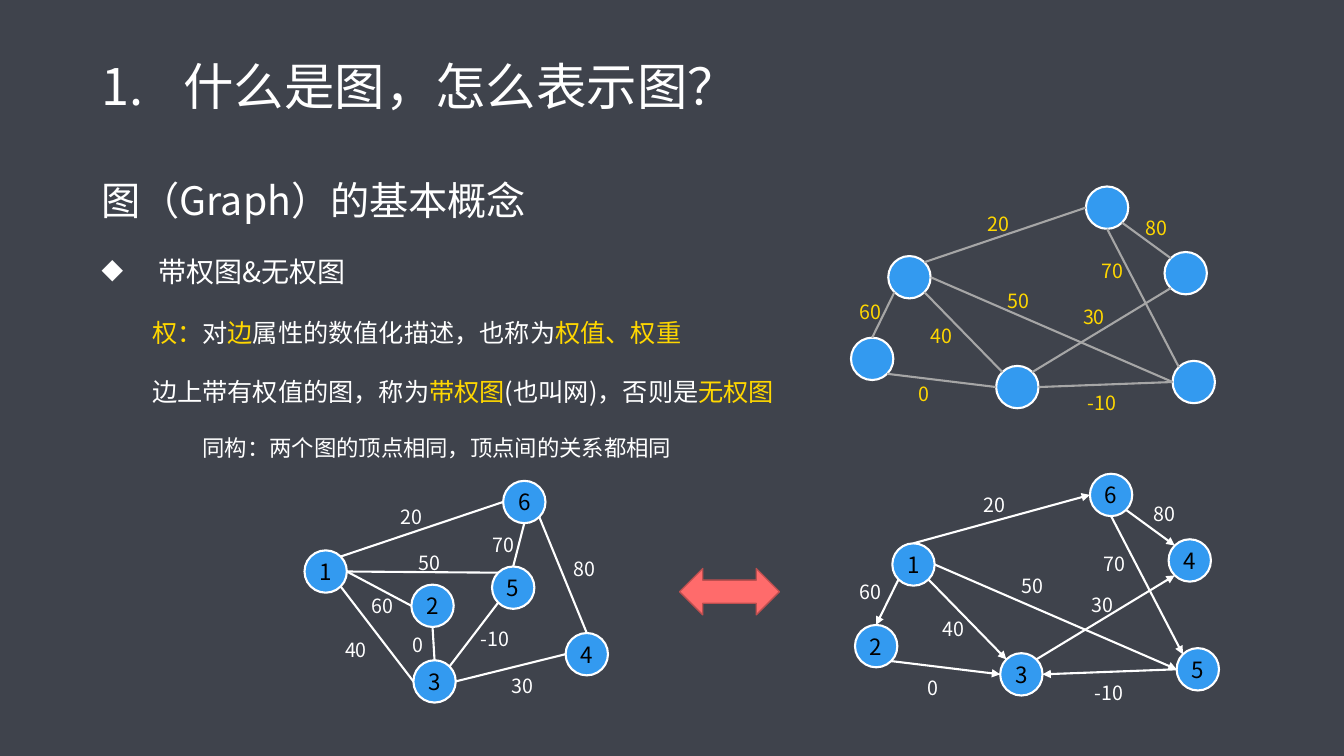
from dataclasses import dataclass
from math import cos, pi, sin

from lxml import etree
from pptx import Presentation
from pptx.dml.color import RGBColor
from pptx.enum.shapes import MSO_CONNECTOR, MSO_SHAPE
from pptx.enum.text import MSO_ANCHOR, PP_ALIGN
from pptx.oxml.ns import qn
from pptx.util import Inches, Pt

OVAL, DOUBLE_ARROW = MSO_SHAPE.OVAL, MSO_SHAPE.LEFT_RIGHT_ARROW
STRAIGHT = MSO_CONNECTOR.STRAIGHT
LEFT, CENTER = PP_ALIGN.LEFT, PP_ALIGN.CENTER
MIDDLE, TOP_ANCHOR = MSO_ANCHOR.MIDDLE, MSO_ANCHOR.TOP


@dataclass(frozen=True)
class Theme:
    font: str = "Noto Sans CJK SC"
    back: str = "3F434C"
    text: str = "FFFFFF"
    accent: str = "FFD700"
    vertex: str = "339AF0"
    vertex_text: str = "000000"
    grey_edge: str = "A6A6A6"
    arrow: str = "FF6B6B"
    arrow_line: str = "BD4F4F"
    title: int = 36
    heading: int = 28
    topic: int = 20
    body: int = 18
    small: int = 16
    weight: int = 14


T = Theme()
CELL = 0.1  # inches per grid column and row
VERTEX = 4.2  # vertex diameter in cells
LABEL_W, LABEL_H = 5.1, 3.4

# Connection sites of an ellipse, counter-clockwise from the top
N, NW, W, SW, S, SE, E, NE = range(8)

# Vertex centres in cells, from the corner of the graph's box
WIDE = {1: (6.2, 9), 2: (2.5, 17.1), 3: (16.9, 19.9),
        4: (33.6, 8.6), 5: (34.4, 19.4), 6: (25.8, 2.1)}
COMPACT = {1: (2.1, 9), 2: (12.7, 12.4), 3: (12.9, 19.9),
           4: (28, 17.2), 5: (20.7, 10.6), 6: (21.8, 2.1)}

# Edges by weight: vertex, site, vertex, site
WIDE_EDGES = {"20": (6, W, 1, NE), "40": (3, NW, 1, SE), "30": (4, SW, 3, NE),
              "70": (5, NW, 6, S), "60": (2, N, 1, SW), "80": (4, NW, 6, SE),
              "0": (3, W, 2, SE), "-10": (3, E, 5, W), "50": (5, W, 1, E)}
DIRECTED_EDGES = {**WIDE_EDGES, "20": (6, W, 1, N)}
COMPACT_EDGES = {"20": (6, W, 1, NE), "40": (3, W, 1, SE), "30": (4, W, 3, E),
                 "70": (5, N, 6, S), "60": (2, W, 1, E), "80": (4, N, 6, SE),
                 "0": (3, N, 2, S), "-10": (3, NE, 5, SW), "50": (5, NW, 1, E)}

# Centres of the weight labels in cells
WIDE_WEIGHTS = {"20": (15, 3.7), "30": (24.5, 12.9), "-10": (25.3, 21.4),
                "0": (7.6, 20.6), "40": (9.4, 14.8), "60": (2.3, 12.4),
                "70": (26.3, 8.4), "80": (30.7, 4.1), "50": (17, 11.3)}
DIRECTED_WEIGHTS = {"20": (14.2, 3.1), "30": (24.9, 13), "-10": (25.6, 21.7),
                    "0": (8.1, 21.2), "40": (10.2, 15.4), "60": (1.9, 11.7),
                    "70": (26.1, 8.9), "80": (31.1, 4), "50": (18, 11.1)}
COMPACT_WEIGHTS = {"20": (10.6, 3.6), "30": (21.6, 20.3), "-10": (18.9, 15.7),
                   "0": (11.3, 16.3), "40": (5.1, 16.8), "60": (7.7, 12.4),
                   "70": (19.7, 6.3), "80": (27.8, 8.7), "50": (12.4, 8.1)}

# Paragraphs: size, left margin and indent in inches, bullet, runs
PARAGRAPHS = [
    (T.heading, 0, 0, None, [("图（Graph）的基本概念", T.text)]),
    (T.topic, 0.56, -0.56, "◆", [("带权图&无权图", T.text)]),
    (T.body, 0.5, 0, None, [("权：", T.accent), ("对", T.text), ("边", T.accent),
                            ("属性的数值化描述，也称为", T.text), ("权值、权重", T.accent)]),
    (T.body, 0.5, 0, None, [("边上带有权值的图，称为", T.text), ("带权图", T.accent),
                            ("(也叫网)，否则是", T.text), ("无权图", T.accent)]),
    (T.small, 1, 0, None, [("同构：两个图的顶点相同，顶点间的关系都相同", T.text)]),
]


def cells(*values):
    return [Inches(v * CELL) for v in values]


def rgb(code):
    return RGBColor.from_string(code)


def add_run(p, text, size, color):
    r = p.add_run()
    r.text = text
    r.font.size, r.font.name = Pt(size), T.font
    r.font.color.rgb = rgb(color)
    etree.SubElement(r._r.get_or_add_rPr(), qn("a:ea"), typeface=T.font)


def indent(p, margin, first, tag="a:buNone", **bullet):
    pPr = p._p.get_or_add_pPr()
    pPr.set("marL", str(Inches(margin)))
    pPr.set("indent", str(Inches(first)))
    etree.SubElement(pPr, qn(tag), **bullet)


def paint(shape, fill, line, width):
    shape.shadow.inherit = False
    shape.fill.solid()
    shape.fill.fore_color.rgb = rgb(fill)
    shape.line.color.rgb = rgb(line)
    shape.line.width = Pt(width)


def centre_text(shape, text, size, color):
    tf = shape.text_frame
    tf.word_wrap = True
    tf.vertical_anchor = MIDDLE
    tf.margin_left = tf.margin_right = tf.margin_top = tf.margin_bottom = 0
    p = tf.paragraphs[0]
    p.alignment = CENTER
    add_run(p, text, size, color)


def add_title(s, box):
    title = s.shapes.title
    title.left, title.top, title.width, title.height = box
    tf = title.text_frame
    tf.vertical_anchor = MIDDLE
    p = tf.paragraphs[0]
    p.alignment, p.line_spacing = LEFT, 0.9
    indent(p, 0.81, -0.81, "a:buAutoNum", type="arabicPeriod")
    add_run(p, "什么是图，怎么表示图？", T.title, T.text)


def add_body(s, box):
    tf = s.shapes.add_textbox(*box).text_frame
    tf.word_wrap = True
    tf.vertical_anchor = TOP_ANCHOR
    for i, (size, margin, first, bullet, runs) in enumerate(PARAGRAPHS):
        p = tf.add_paragraph() if i else tf.paragraphs[0]
        p.line_spacing, p.space_before = 1.5, Pt(10)
        if bullet:
            indent(p, margin, first, "a:buChar", char=bullet)
        else:
            indent(p, margin, first)
        for text, color in runs:
            add_run(p, text, size, color)


def site_point(centre, site):
    angle = pi / 2 + site * pi / 4
    return centre[0] + VERTEX / 2 * cos(angle), centre[1] - VERTEX / 2 * sin(angle)


def add_edge(shapes, start, end, ovals, sites, color, arrow):
    """Draw a line between two points and glue it to the sites of two vertices."""
    line = shapes.add_connector(STRAIGHT, *cells(*start, *end))
    line.line.color.rgb = rgb(color)
    line.line.width = Pt(1.5)
    if arrow:
        etree.SubElement(line.line._get_or_add_ln(), qn("a:headEnd"), type="triangle")
    etree.SubElement(line._element.spPr, qn("a:effectLst"))
    glue = line._element.nvCxnSpPr.cNvCxnSpPr
    for tag, oval, site in zip(("a:stCxn", "a:endCxn"), ovals, sites):
        etree.SubElement(glue, qn(tag), id=str(oval.shape_id), idx=str(site))


def add_graph(s, corner, vertices, edges, weights, edge_color, weight_color,
              numbered=True, directed=False):
    """Draw a weighted graph as one group, with its box's corner given in cells."""
    shapes = s.shapes.add_group_shape().shapes
    left, top = corner
    centres = {n: (left + x, top + y) for n, (x, y) in vertices.items()}
    ovals = {}
    for n, (x, y) in centres.items():
        oval = shapes.add_shape(OVAL, *cells(x - VERTEX / 2, y - VERTEX / 2, VERTEX, VERTEX))
        paint(oval, T.vertex, T.text, 1.5)
        if numbered:
            centre_text(oval, str(n), T.small, T.vertex_text)
        ovals[n] = oval
    for a, site_a, b, site_b in edges.values():
        add_edge(shapes, site_point(centres[a], site_a), site_point(centres[b], site_b),
                 (ovals[a], ovals[b]), (site_a, site_b), edge_color, directed)
    for weight, (x, y) in weights.items():
        label = shapes.add_textbox(*cells(left + x - LABEL_W / 2, top + y - LABEL_H / 2,
                                          LABEL_W, LABEL_H))
        centre_text(label, weight, T.weight, weight_color)


def add_double_arrow(s, box):
    paint(s.shapes.add_shape(DOUBLE_ARROW, *box), T.arrow, T.arrow_line, 1)


def main():
    prs = Presentation()
    prs.slide_width, prs.slide_height = Inches(13.33), Inches(7.5)
    s = prs.slides.add_slide(prs.slide_layouts[5])
    s.background.fill.solid()
    s.background.fill.fore_color.rgb = rgb(T.back)
    add_body(s, cells(9.1, 14.7, 115, 56.2))
    add_title(s, cells(9.1, 2.9, 115, 11.8))
    add_graph(s, (84, 18.5), WIDE, WIDE_EDGES, WIDE_WEIGHTS,
              T.grey_edge, T.accent, numbered=False)
    add_graph(s, (30.2, 47.7), COMPACT, COMPACT_EDGES, COMPACT_WEIGHTS, T.text, T.text)
    add_graph(s, (84.4, 47), WIDE, DIRECTED_EDGES, DIRECTED_WEIGHTS,
              T.text, T.text, directed=True)
    add_double_arrow(s, cells(67.4, 56.4, 9.9, 4.6))
    prs.save("out.pptx")


if __name__ == "__main__":
    main()
